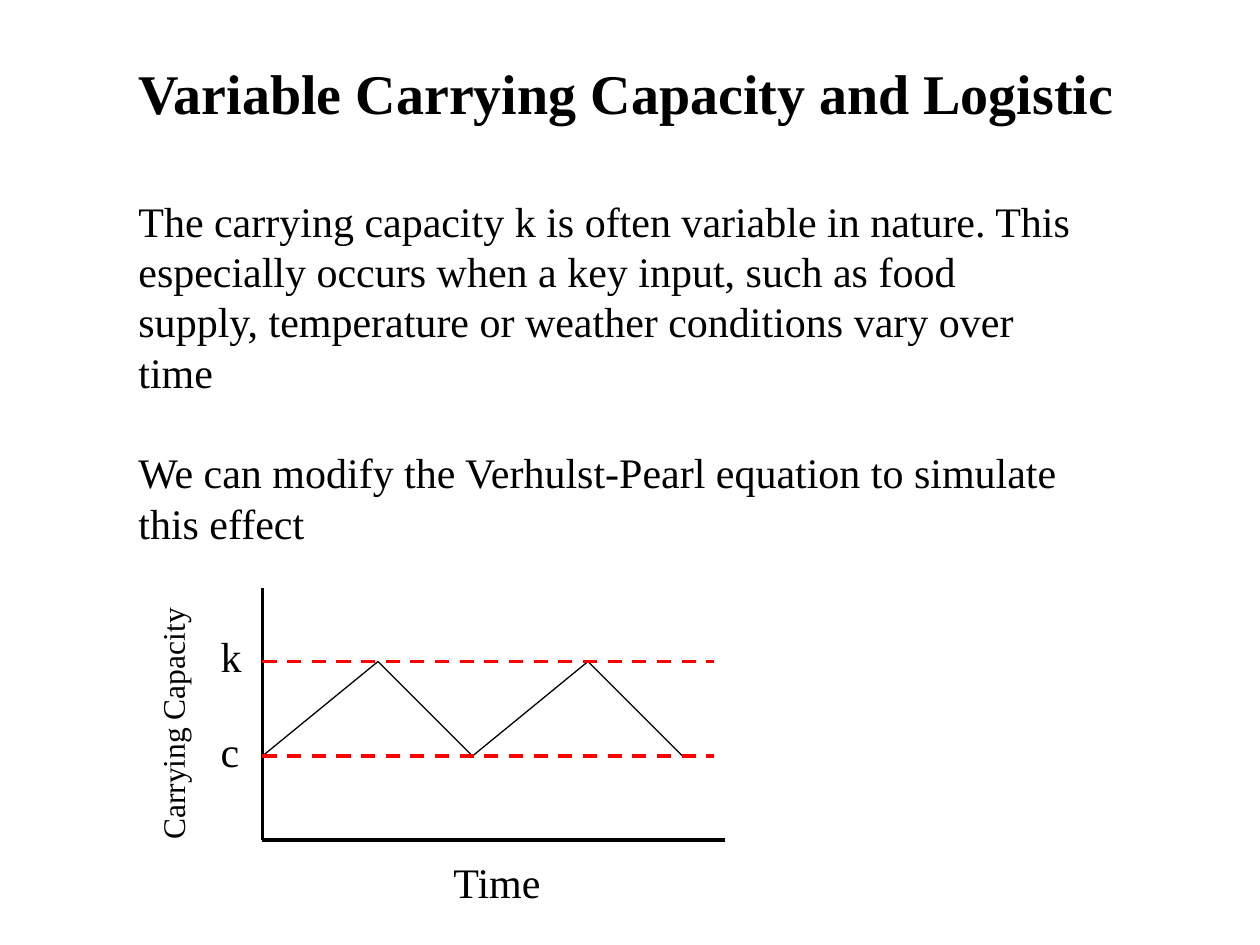
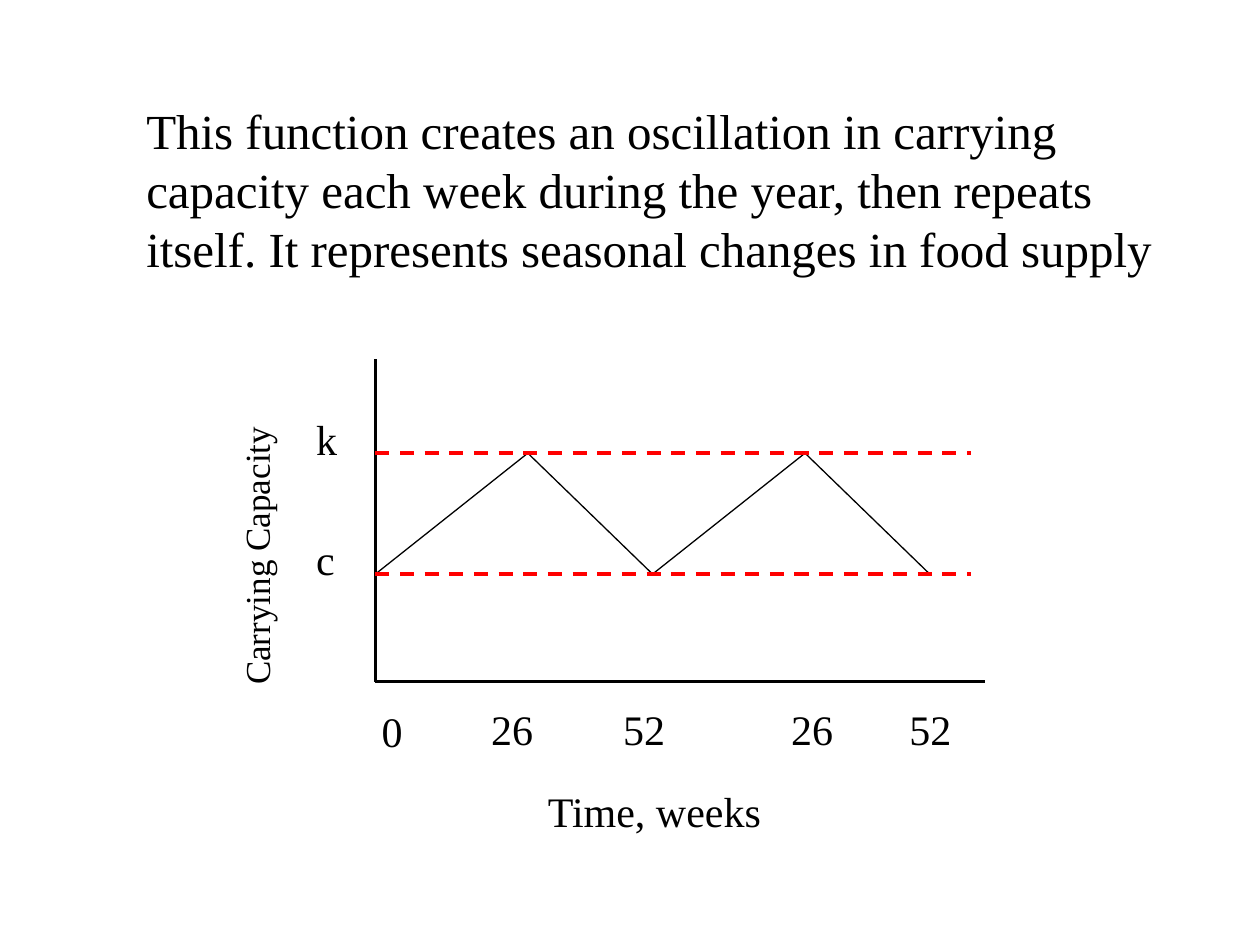
"""Build two slides on variable carrying capacity in logistic growth."""
from lxml import etree
from pptx import Presentation
from pptx.dml.color import RGBColor
from pptx.enum.dml import MSO_LINE
from pptx.enum.shapes import MSO_CONNECTOR
from pptx.enum.text import MSO_ANCHOR, MSO_AUTO_SIZE, PP_ALIGN
from pptx.oxml.ns import qn
from pptx.util import Pt

STRAIGHT = MSO_CONNECTOR.STRAIGHT
DASH = MSO_LINE.DASH
TOP = MSO_ANCHOR.TOP
NO_FIT = MSO_AUTO_SIZE.NONE
LEFT = PP_ALIGN.LEFT

COLORS = {"ink": "000000", "limit": "FF0000"}
FONT = "Times New Roman"
TITLE_LAYOUT, BLANK_LAYOUT = 5, 6


def write_text(shape, box, paragraphs, size, bold=False, gap=0, rotation=0):
    shape.left, shape.top, shape.width, shape.height = map(Pt, box)
    shape.rotation = rotation
    frame = shape.text_frame
    frame.word_wrap = True
    frame.auto_size = NO_FIT
    frame.vertical_anchor = TOP
    frame.text = "\n".join(paragraphs)
    for index, paragraph in enumerate(frame.paragraphs):
        paragraph.alignment = LEFT
        paragraph.space_before = Pt(gap if index else 0)
        paragraph.font.name = FONT
        paragraph.font.size = Pt(size)
        paragraph.font.bold = bold
        paragraph.font.color.rgb = RGBColor.from_string(COLORS["ink"])


def draw_graph(slide, origin, scale):
    limit_end, axis_end = 258, 264
    k_level, c_level, base = 42, 96, 144
    wave = [(0, c_level), (66, k_level), (120, c_level), (186, k_level), (240, c_level)]
    lines = [((0, 0), (0, base), "ink", 2), ((0, base), (axis_end, base), "ink", 2)]
    lines += [(start, end, "ink", 0.75) for start, end in zip(wave, wave[1:])]
    lines += [((0, level), (limit_end, level), "limit", 2) for level in (c_level, k_level)]
    for start, end, color, width in lines:
        points = [Pt(origin[axis] + point[axis] * scale[axis])
                  for point in (start, end) for axis in (0, 1)]
        connector = slide.shapes.add_connector(STRAIGHT, *points)
        connector.line.color.rgb = RGBColor.from_string(COLORS[color])
        connector.line.width = Pt(width)
        if color == "limit":
            connector.line.dash_style = DASH
        etree.SubElement(connector._element.spPr, qn("a:effectLst"))


presentation = Presentation()
presentation.slide_width, presentation.slide_height = Pt(720), Pt(540)

slides = [
    {
        "title": "Variable Carrying Capacity and Logistic",
        "origin": (150, 336),
        "scale": (1, 1),
        "body": ((72, 108, 553, 211), [
            "The carrying capacity k is often variable in nature. This especially occurs "
            "when a key input, such as food supply, temperature or weather conditions "
            "vary over time",
            "We can modify the Verhulst-Pearl equation to simulate this effect",
        ], 24),
        "axis_name": ((20, 394, 157, 29), 18),
        "labels": [("k", 119, 357, 27), ("c", 119, 411, 27), ("Time", 252, 486, 65)],
    },
    {
        "title": None,
        "origin": (214.5, 205.2),
        "scale": (1.32, 1.28),
        "body": ((76.5, 54, 594, 109), [
            "This function creates an oscillation in carrying capacity each week during "
            "the year, then repeats itself. It represents seasonal changes in food supply",
        ], 28),
        "axis_name": ((46, 282, 201, 32), 20),
        "labels": [("k", 173.5, 232.5, 35), ("c", 173.5, 301.5, 35),
                   ("0", 211, 399.5, 35), ("26", 273.5, 398.5, 51),
                   ("52", 349, 398.5, 51), ("26", 445, 398.5, 51),
                   ("52", 512.5, 398.5, 51), ("Time, weeks", 306, 445.5, 181)],
    },
]

for content in slides:
    layout = TITLE_LAYOUT if content["title"] else BLANK_LAYOUT
    slide = presentation.slides.add_slide(presentation.slide_layouts[layout])
    if content["title"]:
        write_text(slide.shapes.title, (72, 30, 576, 46), [content["title"]], 32, bold=True)
    draw_graph(slide, content["origin"], content["scale"])

    texts = [(*content["body"], 0)]
    box, size = content["axis_name"]
    texts.append((box, ["Carrying Capacity"], size, 269.8))
    texts += [((left, top, width, 36), [label], 24, 0)
              for label, left, top, width in content["labels"]]
    for box, paragraphs, size, rotation in texts:
        text_box = slide.shapes.add_textbox(0, 0, 0, 0)
        write_text(text_box, box, paragraphs, size, gap=28.7, rotation=rotation)

presentation.save("out.pptx")
